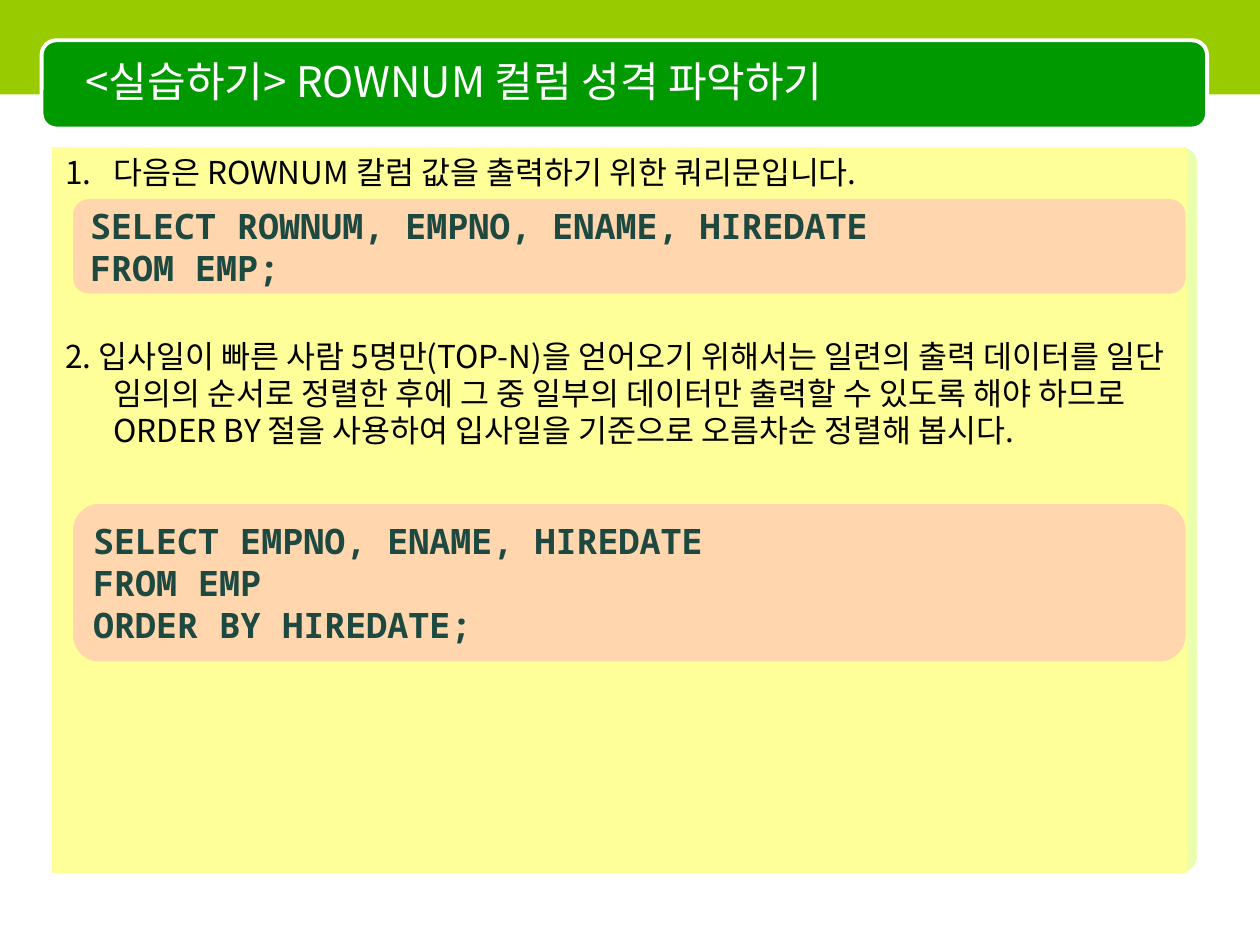
from lxml import etree
from pptx import Presentation, util as u
from pptx.dml.color import RGBColor
from pptx.enum import shapes, text
from pptx.oxml.ns import qn

WIDTH, HEIGHT = 10, 7.5
WHITE = RGBColor(0xFF, 0xFF, 0xFF)
BLACK = RGBColor(0, 0, 0)
LIME = RGBColor(0x99, 0xCC, 0x00)
PALE_LIME = RGBColor(0xCC, 0xFF, 0x33)
GREEN = RGBColor(0x00, 0x99, 0x00)
YELLOW = RGBColor(0xFF, 0xFF, 0x99)
PINK = RGBColor(0xFF, 0x99, 0xCC)
TEAL = RGBColor(0x1D, 0x49, 0x40)

SANS, MONO = "Noto Sans CJK KR", "Noto Sans Mono"
TITLE = {"name": SANS, "size": u.Pt(24), "color": WHITE}
BODY = {"name": SANS, "size": u.Pt(18), "color": BLACK}
CODE = {"name": MONO, "size": u.Pt(20), "color": TEAL, "bold": True}

RECT = shapes.MSO_SHAPE.RECTANGLE
ROUND = shapes.MSO_SHAPE.ROUNDED_RECTANGLE
TOP, MIDDLE = text.MSO_ANCHOR.TOP, text.MSO_ANCHOR.MIDDLE


def add_panel(page, box, kind, fill, line=None, weight=0.75, corner=None, alpha=None):
    panel = page.shapes.add_shape(kind, *map(u.Inches, box))
    panel.shadow.inherit = False
    panel.fill.solid()
    panel.fill.fore_color.rgb = fill
    if corner is not None:
        panel.adjustments[0] = corner
    if alpha is not None:
        color = panel.fill._xPr.find(".//" + qn("a:srgbClr"))
        etree.SubElement(color, qn("a:alpha"), val=str(alpha * 1000))
    if line is None:
        panel.line.fill.background()
    else:
        panel.line.color.rgb = line
        panel.line.width = u.Pt(weight)
    return panel


def write(shape, lines, style, anchor, spacing=None):
    """Fill the shape with one left-aligned paragraph per line; return the paragraphs."""
    frame = shape.text_frame
    frame.word_wrap = True
    frame.vertical_anchor = anchor
    paras = []
    for index, line in enumerate(lines):
        para = frame.add_paragraph() if index else frame.paragraphs[0]
        para.alignment = text.PP_ALIGN.LEFT
        para.line_spacing = spacing
        span = para.add_run()
        span.text = line
        for key, value in style.items():
            if key == "color":
                span.font.color.rgb = value
            else:
                setattr(span.font, key, value)
        etree.SubElement(span.font._element, qn("a:ea"), typeface=style["name"])
        paras.append(para)
    return paras


def add_backdrop(page, box):
    left, top, width, height = box
    add_panel(page, (left + 0.08, top, width, height), ROUND, PALE_LIME,
              corner=0.021, alpha=40)
    add_panel(page, (0, 0, WIDTH, HEIGHT / 10), RECT, LIME)


def add_title(page, box, title):
    left, top, width, height = box
    add_panel(page, box, ROUND, GREEN, line=WHITE, weight=2.25, corner=0.167)
    label = page.shapes.add_textbox(*map(u.Inches, (left + 0.25, top + 0.01, 7.92, 0.62)))
    write(label, [title], TITLE, MIDDLE)


def add_steps(page, box, steps):
    panel = add_panel(page, box, RECT, YELLOW, line=YELLOW)
    first, second = write(panel, steps, BODY, TOP, u.Pt(21.2))
    for para in (first, second):
        props = para._p.get_or_add_pPr()
        props.set("marL", str(u.Inches(0.38)))
        props.set("indent", str(u.Inches(-0.38)))
    etree.SubElement(first._p.pPr, qn("a:buFont"), typeface=SANS)
    etree.SubElement(first._p.pPr, qn("a:buAutoNum"), type="arabicPeriod")
    second.space_before = u.Pt(84)


def add_code(page, box, lines):
    panel = add_panel(page, box, ROUND, PINK, corner=0.167, alpha=40)
    write(panel, lines, CODE, MIDDLE, u.Pt(24))


def main():
    deck = Presentation()
    deck.slide_width, deck.slide_height = u.Inches(WIDTH), u.Inches(HEIGHT)
    page = deck.slides.add_slide(deck.slide_layouts[6])
    content = (0.42, 1.17, 9, 5.75)
    add_backdrop(page, content)
    add_title(page, (0.33, 0.32, 9.25, 0.7), "<실습하기> ROWNUM 컬럼 성격 파악하기")
    add_steps(page, content, [
        "다음은 ROWNUM 칼럼 값을 출력하기 위한 쿼리문입니다.",
        "2. 입사일이 빠른 사람 5명만(TOP-N)을 얻어오기 위해서는 일련의 출력 데이터를 "
        "일단 임의의 순서로 정렬한 후에 그 중 일부의 데이터만 출력할 수 있도록 해야 "
        "하므로 ORDER BY 절을 사용하여 입사일을 기준으로 오름차순 정렬해 봅시다.",
    ])
    queries = [
        (1.58, 0.75, ["SELECT ROWNUM, EMPNO, ENAME, HIREDATE", "FROM EMP;"]),
        (4, 1.25, ["SELECT EMPNO, ENAME, HIREDATE", "FROM EMP", "ORDER BY HIREDATE;"]),
    ]
    for top, height, lines in queries:
        add_code(page, (0.58, top, 8.83, height), lines)
    deck.save("out.pptx")


if __name__ == "__main__":
    main()
